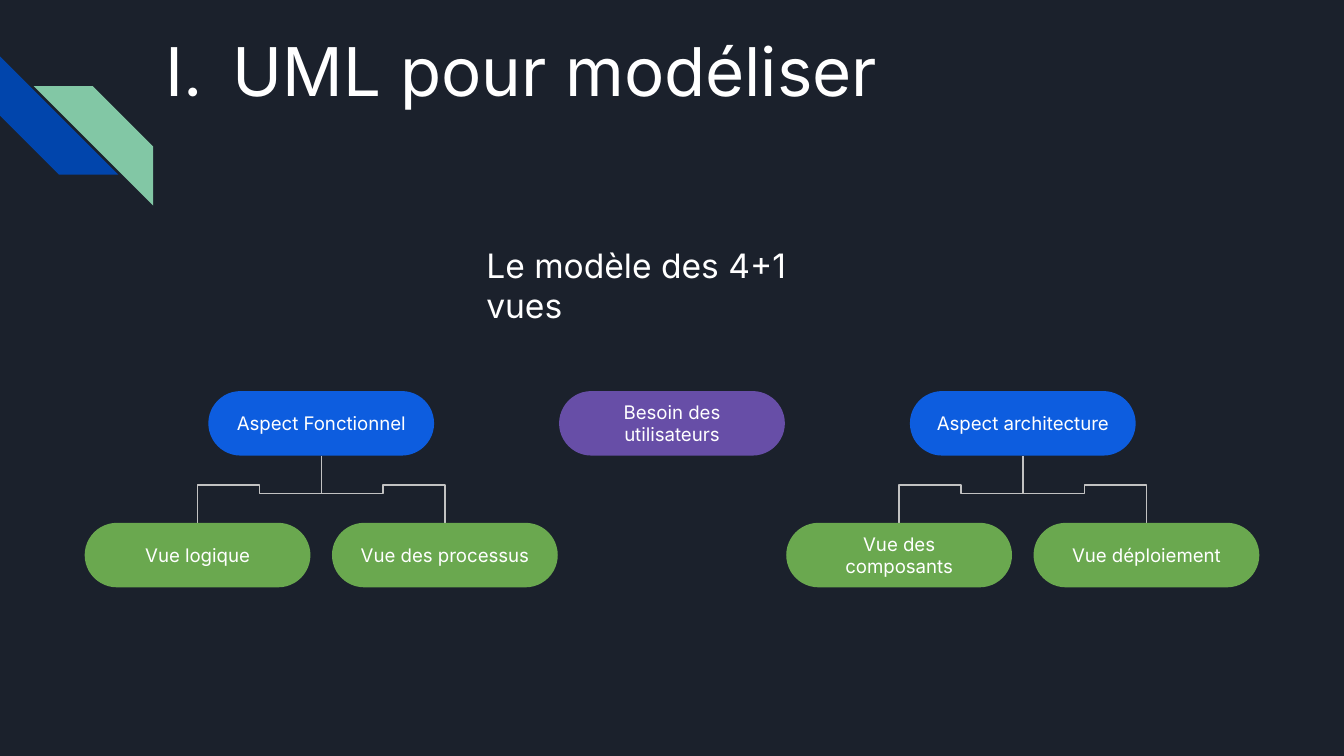
from pptx import Presentation
from pptx.dml.color import RGBColor
from pptx.enum.shapes import MSO_SHAPE
from pptx.enum.text import MSO_ANCHOR, MSO_AUTO_SIZE, PP_ALIGN
from pptx.oxml.ns import qn
from pptx.util import Inches, Pt
from lxml.etree import SubElement

NIGHT = RGBColor(0x1B, 0x21, 0x2C)
WHITE = RGBColor(0xFF, 0xFF, 0xFF)
NAVY = RGBColor(0x01, 0x45, 0xAC)
MINT = RGBColor(0x82, 0xC7, 0xA5)
BLUE = RGBColor(0x0D, 0x5D, 0xDF)
GREEN = RGBColor(0x6A, 0xA8, 0x4F)
PURPLE = RGBColor(0x67, 0x4E, 0xA7)
GREY = RGBColor(0xC2, 0xC2, 0xC2)
WIDE, HIGH = 1.68, 0.48
TOP, LOW = 2.91, 3.89

deck = Presentation()
deck.slide_width, deck.slide_height = Inches(10), Inches(10 * 9 / 16)
slide = deck.slides.add_slide(deck.slide_layouts[5])
slide.background.fill.solid()
slide.background.fill.fore_color.rgb = NIGHT
shapes = slide.shapes


def draw(points, closed):
    spots = [(Inches(x), Inches(y)) for x, y in points]
    pen = shapes.build_freeform(*spots[0])
    pen.add_line_segments(spots[1:], close=closed)
    form = pen.convert_to_shape()
    form.shadow.inherit = False
    return form


def style(frame, text, size, align):
    frame.word_wrap = True
    frame.margin_left = frame.margin_right = Inches(0.1)
    para = frame.paragraphs[0]
    para.text = text
    para.alignment = align
    para.font.name = "Inter"
    para.font.size = Pt(size)
    para.font.color.rgb = WHITE
    return para


bands = [
    (NAVY, [(0, 0.42), (0.88, 1.3), (0.44, 1.3), (0, 0.86)]),
    (MINT, [(0.25, 0.64), (0.69, 0.64), (1.14, 1.09), (1.14, 1.53)]),
]
for color, points in bands:
    band = draw(points, True)
    band.fill.solid()
    band.fill.fore_color.rgb = color
    band.line.fill.background()

trees = [
    (2.39, "Aspect Fonctionnel", ["Vue logique", "Vue des processus"]),
    (7.61, "Aspect architecture", ["Vue des composants", "Vue déploiement"]),
]
pills = [(5, TOP, PURPLE, "Besoin des utilisateurs")]
for root, aspect, views in trees:
    pills.append((root, TOP, BLUE, aspect))
    for side, view in zip((-1, 1), views):
        leaf = root + side * 0.92
        half = (root + leaf) / 2
        pills.append((leaf, LOW, GREEN, view))
        link = draw([(root, TOP + HIGH), (root, 3.67), (half, 3.67),
                     (half, 3.61), (leaf, 3.61), (leaf, LOW)], False)
        link.fill.background()
        link.line.color.rgb = GREY
        link.line.width = Pt(0.75)

for center, top, color, text in pills:
    pill = shapes.add_shape(MSO_SHAPE.ROUNDED_RECTANGLE, Inches(center - WIDE / 2),
                            Inches(top), Inches(WIDE), Inches(HIGH))
    pill.adjustments[0] = 0.5
    pill.shadow.inherit = False
    pill.fill.solid()
    pill.fill.fore_color.rgb = color
    pill.line.fill.background()
    frame = pill.text_frame
    frame.margin_top = frame.margin_bottom = 0
    frame.vertical_anchor = MSO_ANCHOR.MIDDLE
    style(frame, text, 10, PP_ALIGN.CENTER)

model = shapes.add_textbox(Inches(3.52), Inches(1.72), Inches(2.96), Inches(0.5))
model.text_frame.margin_top = model.text_frame.margin_bottom = Inches(0.1)
style(model.text_frame, "Le modèle des 4+1 vues", 18, PP_ALIGN.LEFT)

title = shapes.title
title.left, title.top = Inches(1.13), Inches(0.12)
title.width, title.height = Inches(8.45), Inches(0.78)
frame = title.text_frame
frame.auto_size = MSO_AUTO_SIZE.NONE
frame.vertical_anchor = MSO_ANCHOR.TOP
frame.margin_top = frame.margin_bottom = Inches(0.1)
head = style(frame, "UML pour modéliser", 36, PP_ALIGN.LEFT)
props = head._p.get_or_add_pPr()
props.set("marL", str(Inches(0.5)))
props.set("indent", str(-Inches(0.5)))
number = SubElement(props, qn("a:buAutoNum"), type="romanUcPeriod")
props.find(qn("a:defRPr")).addprevious(number)

deck.save("out.pptx")
